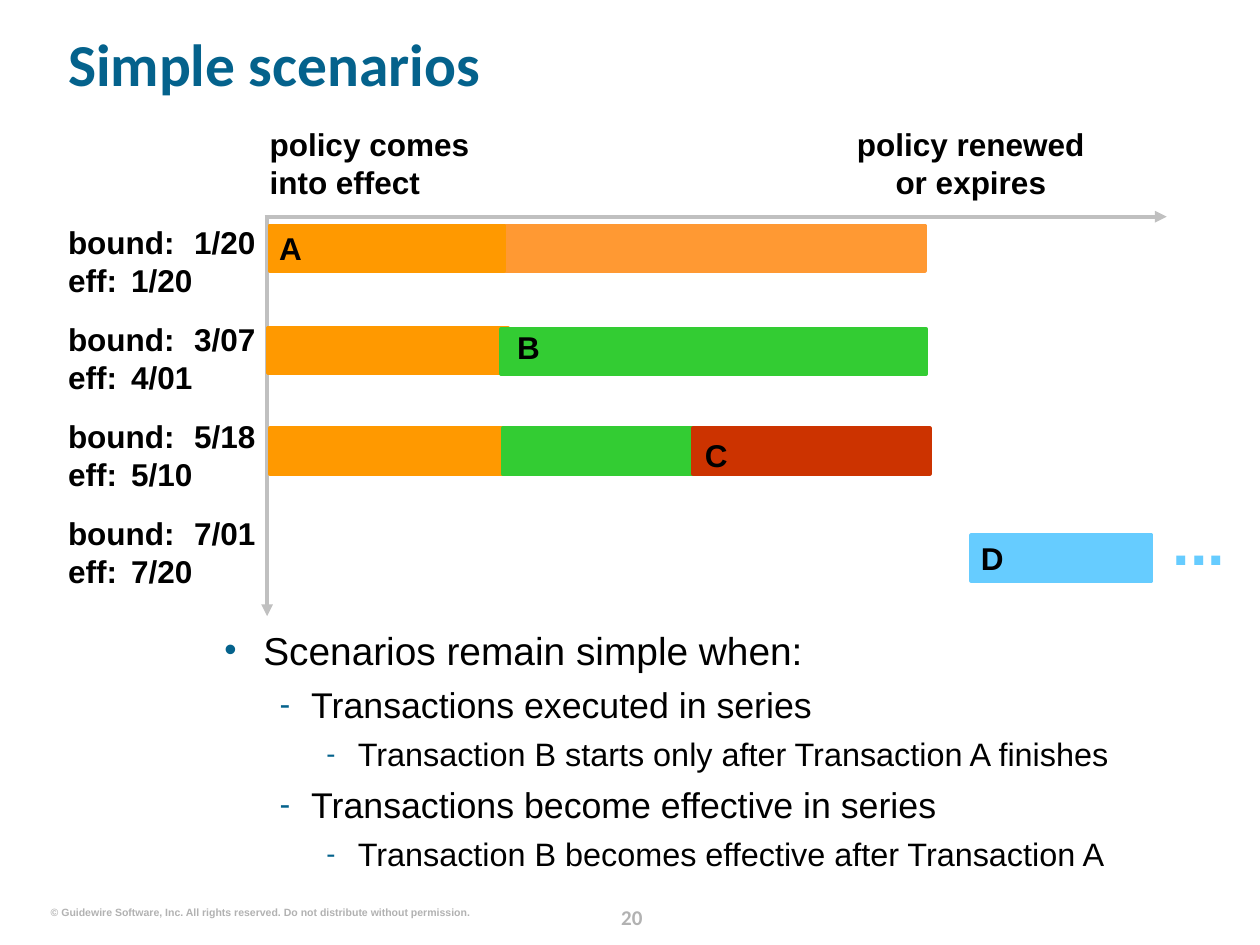
from pptx import Presentation
from pptx.dml.color import RGBColor
from pptx.enum.shapes import MSO_CONNECTOR, MSO_SHAPE
from pptx.enum.text import MSO_ANCHOR, PP_ALIGN
from pptx.oxml.ns import qn
from pptx.util import Emu, Pt
from lxml.etree import SubElement

PX_PER_INCH = 100
BLUE = RGBColor(0x04, 0x62, 0x8C)
BLACK = RGBColor(0, 0, 0)
WHITE = RGBColor(0xFF, 0xFF, 0xFF)
AXIS_GRAY = RGBColor(0xC0, 0xC0, 0xC0)
FOOTER_GRAY = RGBColor(0xB2, 0xB2, 0xB2)
ORANGE = RGBColor(0xFF, 0x99, 0x00)
LIGHT_ORANGE = RGBColor(0xFF, 0x99, 0x33)
GREEN = RGBColor(0x33, 0xCC, 0x33)
RED = RGBColor(0xCC, 0x33, 0x00)
SKY = RGBColor(0x66, 0xCC, 0xFF)

BAR_HEIGHT = 36
LABEL_LEFT, LABEL_TOP, LABEL_PITCH = 54, 177, 77

LABEL_FONT = {"name": "Arial", "size": Pt(18), "bold": True}
LABEL_SPACING = {"line_spacing": Pt(21.6)}
CENTERED_LABEL = {**LABEL_SPACING, "alignment": PP_ALIGN.CENTER}

# Dates when each transaction is bound and becomes effective
DATES = [("1/20", "1/20"), ("3/07", "4/01"), ("5/18", "5/10"), ("7/01", "7/20")]

# Left, top, width, colour; later bars overlap earlier ones
BARS = [
    (397, 179, 337, LIGHT_ORANGE),
    (214, 179, 186, ORANGE),
    (213, 260, 190, ORANGE),
    (398, 261, 337, GREEN),
    (214, 340, 190, ORANGE),
    (399, 340, 337, GREEN),
    (550, 340, 188, RED),
    (771, 425, 143, SKY),
]
BAR_LETTERS = [("A", 214, 182), ("B", 403, 260), ("C", 552, 346), ("D", 771, 428)]

# Level, text
BULLETS = [
    (0, "Scenarios remain simple when:"),
    (1, "Transactions executed in series"),
    (2, "Transaction B starts only after Transaction A finishes"),
    (1, "Transactions become effective in series"),
    (2, "Transaction B becomes effective after Transaction A"),
]
# Left margin, hanging indent, mark, mark size in percent, text size, space before
BULLET_LEVELS = [
    (31, 31, "•", 90, 22.2, 0),
    (69, 25, "-", 90, 20.4, 5.5),
    (106, 25, "-", 85, 18.5, 5),
]


def px(length):
    return Emu(length * 914400 // PX_PER_INCH)


def set_format(target, values):
    for name, value in values.items():
        setattr(target, name, value)


def clear_margins(text_frame, wrap=True):
    set_format(text_frame, {
        "margin_left": 0, "margin_right": 0, "margin_top": 0,
        "margin_bottom": 0, "word_wrap": wrap,
    })


def write_paragraph(paragraph, text, font, color, layout):
    paragraph.text = text
    set_format(paragraph, layout)
    for run in paragraph.runs:
        set_format(run.font, font)
        run.font.color.rgb = color


def add_text(slide, box, text, font=LABEL_FONT, color=BLACK, layout=LABEL_SPACING, wrap=True):
    text_frame = slide.shapes.add_textbox(*map(px, box)).text_frame
    clear_margins(text_frame, wrap)
    write_paragraph(text_frame.paragraphs[0], text, font, color, layout)


def add_title(slide, text):
    title = slide.shapes.title
    set_format(title, {"left": px(54), "top": px(13), "width": px(910), "height": px(81)})
    clear_margins(title.text_frame)
    title.text_frame.vertical_anchor = MSO_ANCHOR.MIDDLE
    write_paragraph(
        title.text_frame.paragraphs[0], text,
        {"name": "Calibri", "size": Pt(34), "bold": True}, BLUE,
        {"alignment": PP_ALIGN.LEFT, "line_spacing": 0.9},
    )


def add_bar(slide, left, top, width, color):
    bar = slide.shapes.add_shape(
        MSO_SHAPE.RECTANGLE, *map(px, (left, top, width, BAR_HEIGHT)))
    bar.shadow.inherit = False
    bar.fill.solid()
    bar.fill.fore_color.rgb = color
    bar.line.color.rgb = color
    bar.line.width = Pt(2.25)


def add_axis(slide, *ends):
    axis = slide.shapes.add_connector(MSO_CONNECTOR.STRAIGHT, *map(px, ends))
    axis.line.color.rgb = AXIS_GRAY
    axis.line.width = Pt(2.25)
    SubElement(axis.line._get_or_add_ln(), qn("a:tailEnd"), type="triangle")
    SubElement(axis._element.spPr, qn("a:effectLst"))


def set_bullet(paragraph, margin, indent, mark, percent):
    properties = paragraph._p.get_or_add_pPr()
    properties.set("marL", str(px(margin)))
    properties.set("indent", str(-px(indent)))
    color = SubElement(properties, qn("a:buClr"))
    SubElement(color, qn("a:srgbClr"), val=str(BLUE))
    SubElement(properties, qn("a:buSzPct"), val=str(percent * 1000))
    SubElement(properties, qn("a:buFont"), typeface="Arial")
    SubElement(properties, qn("a:buChar"), char=mark)


def add_bullets(slide, box):
    text_frame = slide.shapes.add_textbox(*map(px, box)).text_frame
    clear_margins(text_frame)
    for index, (level, text) in enumerate(BULLETS):
        margin, indent, mark, percent, size, space = BULLET_LEVELS[level]
        paragraph = text_frame.add_paragraph() if index else text_frame.paragraphs[0]
        set_bullet(paragraph, margin, indent, mark, percent)
        write_paragraph(
            paragraph, text, {"name": "Arial", "size": Pt(size)}, BLACK,
            {"level": level, "space_before": Pt(space)},
        )


def main():
    presentation = Presentation()
    presentation.slide_width, presentation.slide_height = px(1000), px(750)
    slide = presentation.slides.add_slide(presentation.slide_layouts[5])
    slide.background.fill.solid()
    slide.background.fill.fore_color.rgb = WHITE
    add_title(slide, "Simple scenarios")

    # Timeline axes and their captions
    add_axis(slide, 210, 172, 926, 172)
    add_axis(slide, 212, 172, 212, 489)
    add_text(slide, (214, 99, 213, 60), "policy comes\ninto effect")
    add_text(slide, (664, 99, 213, 60), "policy renewed\nor expires", layout=CENTERED_LABEL)

    # Transaction dates
    for row, (bound, effective) in enumerate(DATES):
        box = (LABEL_LEFT, LABEL_TOP + row * LABEL_PITCH, 151, 60)
        add_text(slide, box, f"bound:\t{bound}\neff:\t{effective}")

    # Policy periods
    for bar in BARS:
        add_bar(slide, *bar)
    for letter, left, top in BAR_LETTERS:
        add_text(slide, (left, top, 33, 30), letter, layout=CENTERED_LABEL)
    add_text(slide, (931, 399, 50, 60), "...", {**LABEL_FONT, "size": Pt(36)}, SKY, {})

    # Conclusions
    add_bullets(slide, (178, 497, 785, 191))

    # Footer
    add_text(
        slide, (40, 719, 333, 10),
        "© Guidewire Software, Inc. All rights reserved. Do not distribute without permission.",
        {**LABEL_FONT, "size": Pt(6)}, FOOTER_GRAY, {"alignment": PP_ALIGN.RIGHT}, wrap=False,
    )
    add_text(
        slide, (473, 713, 57, 25), "20",
        {"name": "Calibri", "size": Pt(12), "bold": True}, FOOTER_GRAY,
        {"alignment": PP_ALIGN.CENTER, "line_spacing": Pt(18)},
    )
    presentation.save("out.pptx")


if __name__ == "__main__":
    main()
